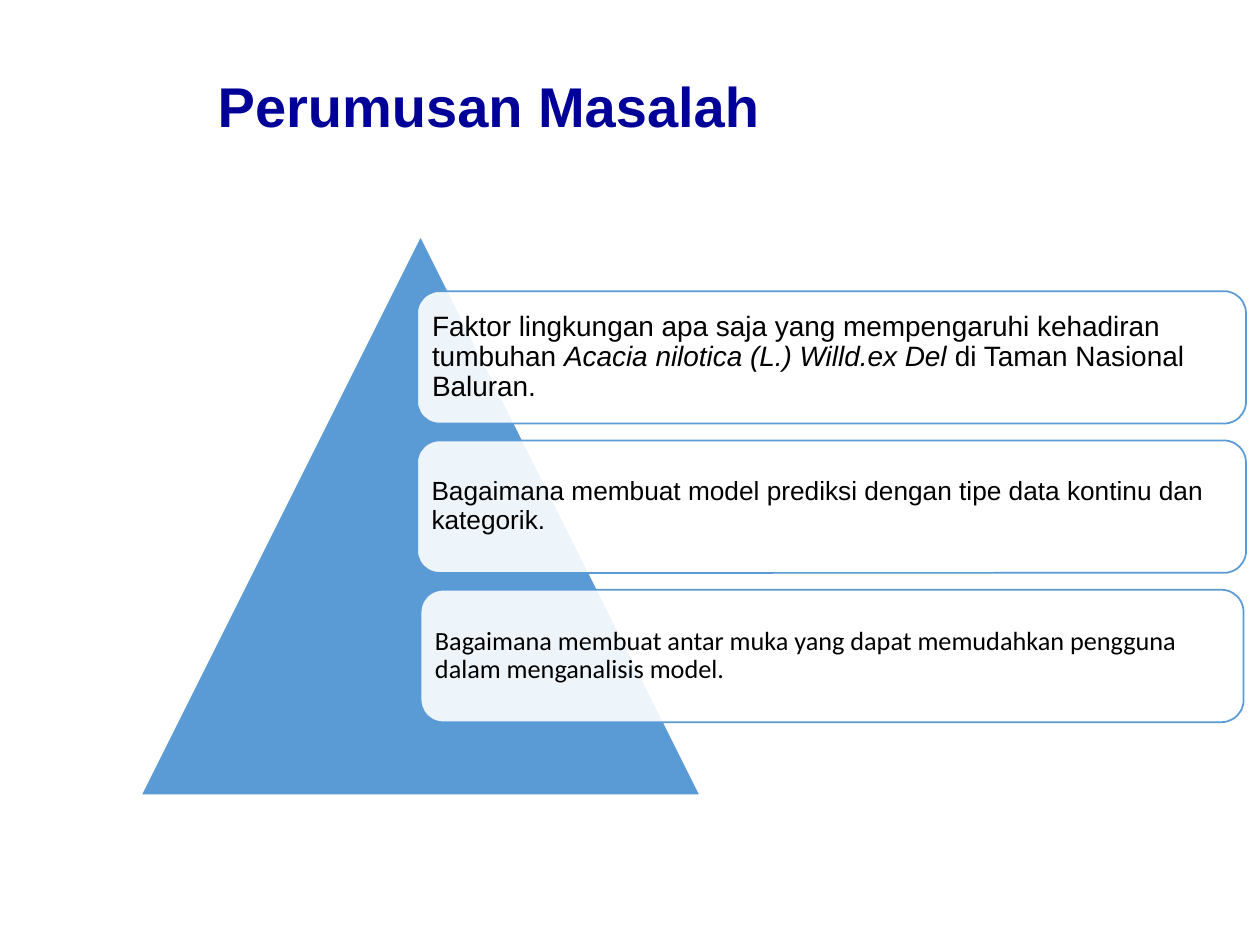
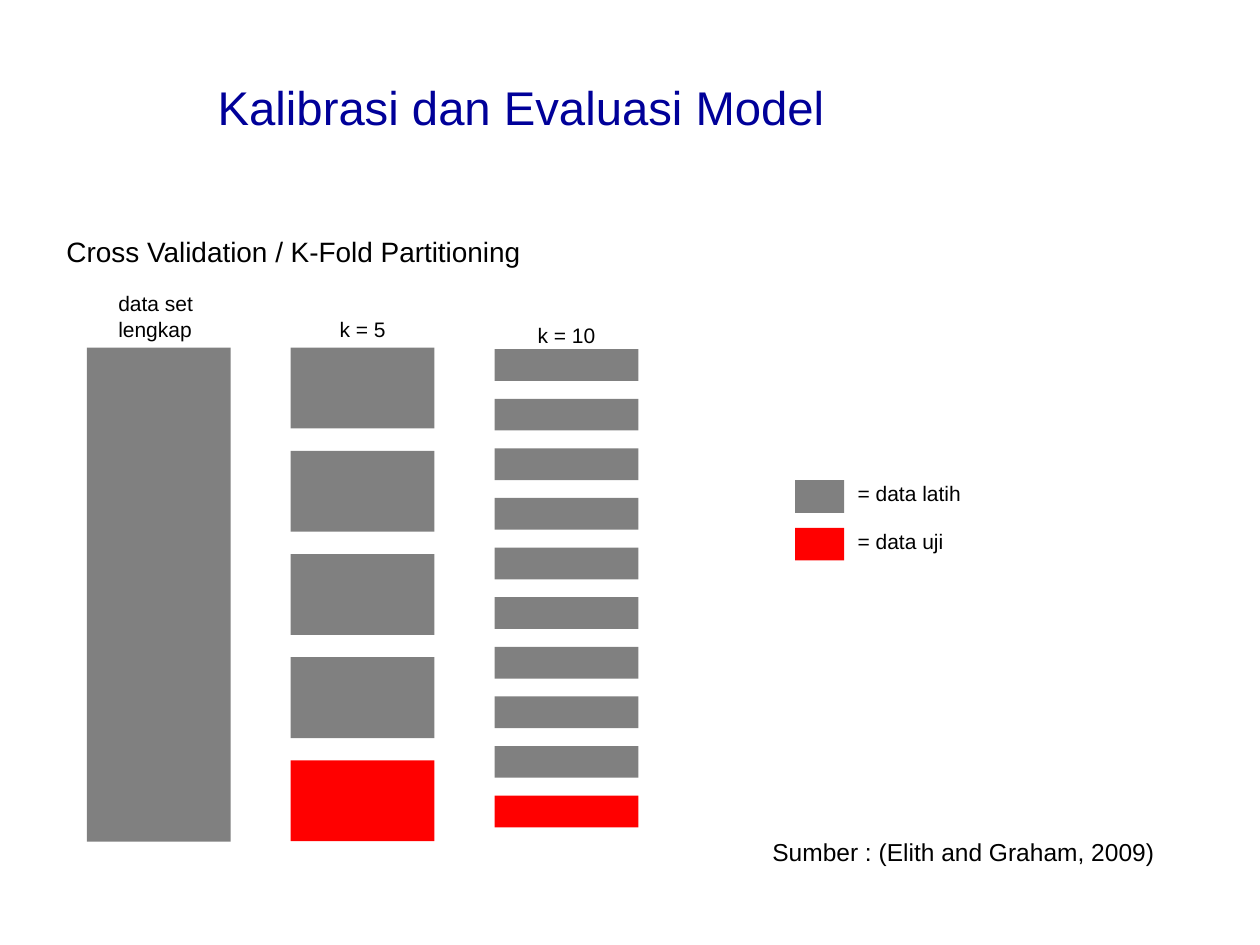
from dataclasses import dataclass

from lxml import etree
from pptx import Presentation
from pptx.dml.color import RGBColor
from pptx.enum.shapes import MSO_SHAPE
from pptx.enum.text import MSO_ANCHOR, PP_ALIGN
from pptx.oxml.ns import qn
from pptx.util import Cm, Pt

RECTANGLE = MSO_SHAPE.RECTANGLE
ROUNDED = MSO_SHAPE.ROUNDED_RECTANGLE
TRIANGLE = MSO_SHAPE.ISOSCELES_TRIANGLE
TOP, MIDDLE = MSO_ANCHOR.TOP, MSO_ANCHOR.MIDDLE
LEFT, CENTER = PP_ALIGN.LEFT, PP_ALIGN.CENTER


@dataclass(frozen=True)
class Theme:
    title: str = "000099"
    text: str = "000000"
    white: str = "FFFFFF"
    accent: str = "5B9BD5"
    training: str = "808080"
    testing: str = "FF0000"
    font: str = "Arial"
    alternate_font: str = "Calibri"
    heading_size: int = 16
    body_size: int = 15
    source_size: int = 14
    label_size: int = 12


@dataclass(frozen=True)
class Box:
    """A place on the slide, in centimetres."""
    left: float
    top: float
    width: float
    height: float

    def lengths(self):
        return Cm(self.left), Cm(self.top), Cm(self.width), Cm(self.height)


@dataclass(frozen=True)
class Question:
    runs: tuple  # pairs of text and italic flag
    size: int
    font: str
    margin: float
    left: float = 8.41
    width: float = 16.71


@dataclass(frozen=True)
class Partition:
    label: str
    label_height: float
    align: PP_ALIGN
    top: float
    bar_height: float
    pitch: float
    training_count: int
    testing_count: int
    label_gap: float = 0.0


THEME = Theme()
TITLE_BOX = Box(4.14, 1.02, 19.51, 2.39)


def write_text(shape, runs, *, size, color=THEME.text, font=THEME.font, bold=False,
               align=LEFT, anchor=TOP, wrap=True, line_spacing=1.0, margin=None):
    """Fill a shape with one paragraph; runs is a string or (text, italic) pairs."""
    frame = shape.text_frame
    frame.word_wrap = wrap
    frame.vertical_anchor = anchor
    if margin is not None:
        frame.margin_left = frame.margin_right = Cm(margin)
        frame.margin_top = frame.margin_bottom = Cm(margin)
    paragraph = frame.paragraphs[0]
    paragraph.alignment = align
    paragraph.line_spacing = line_spacing
    for text, italic in ([(runs, False)] if isinstance(runs, str) else runs):
        run = paragraph.add_run()
        run.text = text
        run.font.name = font
        run.font.size = Pt(size)
        run.font.bold = bold
        run.font.italic = italic
        run.font.color.rgb = RGBColor.from_string(color)


def add_text(slide, box: Box, text: str, **text_format):
    shape = slide.shapes.add_textbox(*box.lengths())
    write_text(shape, text, **text_format)


def add_filled(slide, kind, box: Box, fill: str, line: str | None = None,
               opacity: int = 100):
    shape = slide.shapes.add_shape(kind, *box.lengths())
    shape.shadow.inherit = False
    shape.fill.solid()
    shape.fill.fore_color.rgb = RGBColor.from_string(fill)
    if opacity < 100:
        color = shape.fill._xPr.find(f"{qn('a:solidFill')}/{qn('a:srgbClr')}")
        etree.SubElement(color, qn("a:alpha"), val=str(opacity * 1000))
    if line:
        shape.line.color.rgb = RGBColor.from_string(line)
        shape.line.width = Pt(1)
    else:
        shape.line.fill.background()
    return shape


def add_titled_slide(presentation, title: str, size: int, bold: bool = False):
    slide = presentation.slides.add_slide(presentation.slide_layouts[6])
    add_text(slide, TITLE_BOX, title, size=size, color=THEME.title, bold=bold,
             anchor=MIDDLE, line_spacing=0.9)
    return slide


# Problem statement: three questions over a triangle
QUESTIONS = (
    Question((("Faktor lingkungan apa saja yang mempengaruhi kehadiran tumbuhan ", False),
              ("Acacia nilotica (L.) Willd.ex Del", True),
              (" di Taman Nasional Baluran.", False)),
             THEME.heading_size, THEME.font, 0.17),
    Question((("Bagaimana membuat model prediksi dengan tipe data kontinu dan kategorik.",
               False),),
             THEME.body_size, THEME.font, 0.16),
    Question((("Bagaimana membuat antar muka yang dapat memudahkan pengguna dalam "
               "menganalisis model.", False),),
             THEME.body_size, THEME.alternate_font, 0.16, left=8.48, width=16.59),
)
QUESTION_TOP, QUESTION_PITCH, QUESTION_HEIGHT = 5.87, 3.01, 2.67


def build_problem_slide(presentation):
    slide = add_titled_slide(presentation, "Perumusan Masalah", 32, bold=True)
    add_filled(slide, TRIANGLE, Box(2.84, 4.75, 11.28, 11.28), THEME.accent, THEME.white)
    for index, question in enumerate(QUESTIONS):
        box = Box(question.left, QUESTION_TOP + index * QUESTION_PITCH,
                  question.width, QUESTION_HEIGHT)
        shape = add_filled(slide, ROUNDED, box, THEME.white, THEME.accent, opacity=90)
        write_text(shape, question.runs, size=question.size, font=question.font,
                   anchor=MIDDLE, line_spacing=0.9, margin=question.margin)


# Model evaluation: the data set split into k folds
PARTITIONS = (
    Partition("data set lengkap", 1.27, LEFT, 7.01, 9.96, 0, 1, 0),
    Partition("k = 5", 0.76, CENTER, 7.01, 1.63, 2.08, 4, 1),
    Partition("k = 10", 0.76, CENTER, 7.04, 0.64, 1.0, 9, 1, label_gap=-0.1),
)
COLUMN_LEFT, COLUMN_PITCH, BAR_WIDTH = 1.75, 4.11, 2.9
LABEL_WIDTH = 2.13
LEGEND = ((THEME.training, "= data latih", 2.62), (THEME.testing, "= data uji", 2.26))
LEGEND_TOP, LEGEND_PITCH = 9.68, 0.96


def add_partition(slide, left: float, partition: Partition):
    colors = ([THEME.training] * partition.training_count
              + [THEME.testing] * partition.testing_count)
    for index, color in enumerate(colors):
        top = partition.top + index * partition.pitch
        add_filled(slide, RECTANGLE, Box(left, top, BAR_WIDTH, partition.bar_height), color)
    label_top = partition.top - partition.label_height - partition.label_gap
    label_box = Box(left + (BAR_WIDTH - LABEL_WIDTH) / 2, label_top,
                    LABEL_WIDTH, partition.label_height)
    add_text(slide, label_box, partition.label, size=THEME.label_size,
             align=partition.align)


def build_evaluation_slide(presentation):
    slide = add_titled_slide(presentation, "Kalibrasi dan Evaluasi Model", 27)
    add_text(slide, Box(1.09, 4.6, 9.93, 0.94), "Cross Validation / K-Fold Partitioning",
             size=THEME.heading_size, wrap=False)
    for index, partition in enumerate(PARTITIONS):
        add_partition(slide, COLUMN_LEFT + index * COLUMN_PITCH, partition)
    for index, (color, meaning, width) in enumerate(LEGEND):
        top = LEGEND_TOP + index * LEGEND_PITCH
        add_filled(slide, RECTANGLE, Box(16.03, top, 0.99, 0.66), color)
        add_text(slide, Box(17.04, top - 0.11, width, 0.76), meaning,
                 size=THEME.label_size, wrap=False)
    add_text(slide, Box(15.32, 16.74, 8.26, 0.86), "Sumber : (Elith and Graham, 2009)",
             size=THEME.source_size, wrap=False)


def main():
    presentation = Presentation()
    presentation.slide_width = Cm(25.4)
    presentation.slide_height = Cm(19.05)
    build_problem_slide(presentation)
    build_evaluation_slide(presentation)
    presentation.save("out.pptx")


if __name__ == "__main__":
    main()
